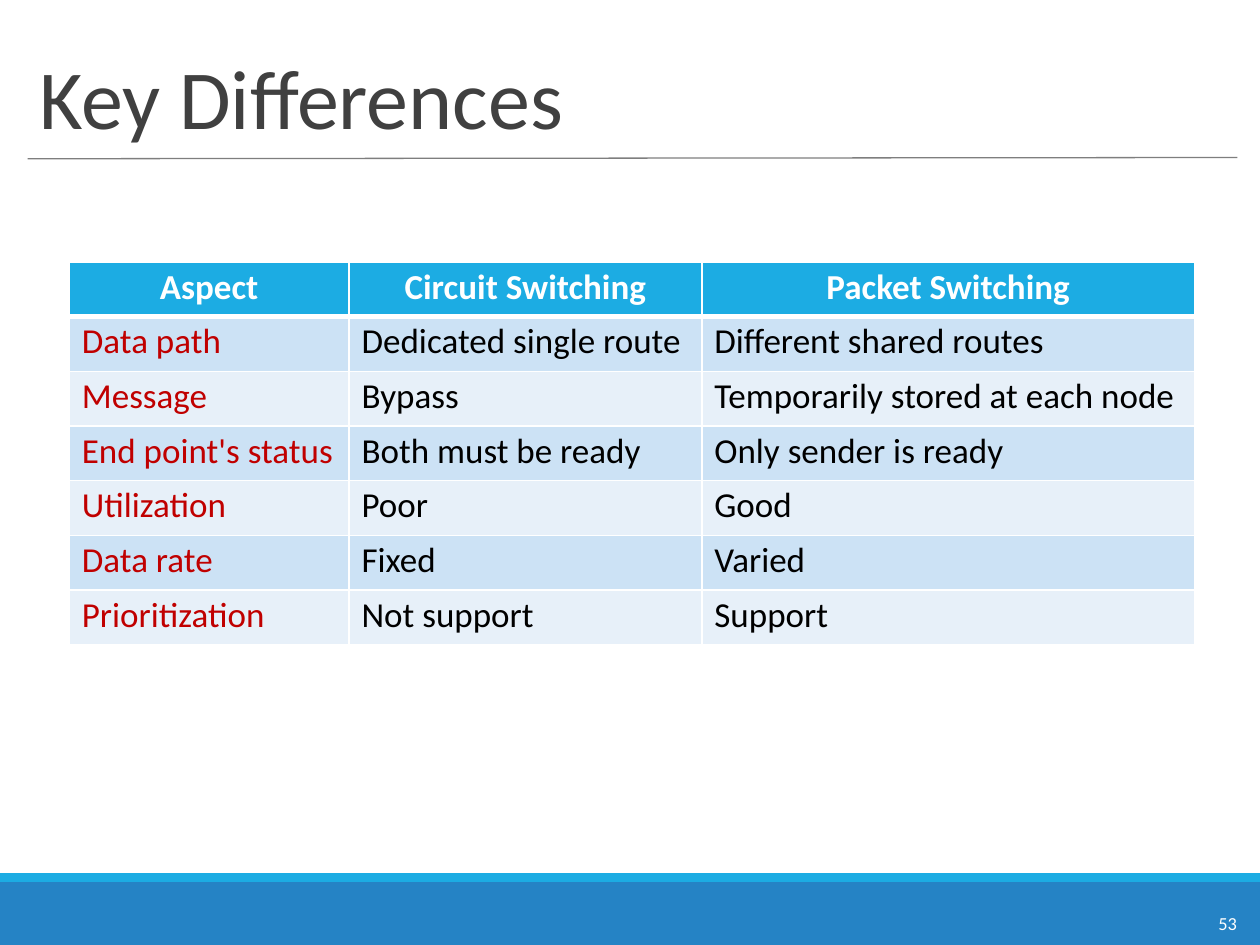
from lxml import etree
from pptx import Presentation
from pptx.dml.color import RGBColor
from pptx.enum.shapes import MSO_CONNECTOR, MSO_SHAPE
from pptx.enum.text import PP_ALIGN
from pptx.oxml.ns import qn
from pptx.util import Inches, Pt

RECT, STRAIGHT = MSO_SHAPE.RECTANGLE, MSO_CONNECTOR.STRAIGHT
LEFT, CENTER = PP_ALIGN.LEFT, PP_ALIGN.CENTER

TITLE = "Key Differences"
PAGE = "53"
ROWS = [
    ("Aspect", "Circuit Switching", "Packet Switching"),
    ("Data path", "Dedicated single route", "Different shared routes"),
    ("Message", "Bypass", "Temporarily stored at each node"),
    ("End point's status", "Both must be ready", "Only sender is ready"),
    ("Utilization", "Poor", "Good"),
    ("Data rate", "Fixed", "Varied"),
    ("Prioritization", "Not support", "Support"),
]
COLORS = {
    "footer": "2583C5", "accent": "1CACE3", "rule": "7E7E7E",
    "title": "404040", "white": "FFFFFF", "aspect": "C00000",
    "body": "000000", "odd": "CCE2F5", "even": "E7F0F9",
}
FONT = "Calibri"
W, H = 10, 7.5
COL_W = [2.22, 2.8, 3.91]
ROW_H = 0.434
TABLE_X, TABLE_Y = 0.55, 2.08
BARS = [(7, 0.5, "footer"), (6.93, 0.07, "accent")]


def rgb(name):
    return RGBColor.from_string(COLORS[name])


def style(p, size, color, bold=False):
    p.font.name, p.font.size, p.font.bold = FONT, Pt(size), bold
    p.font.color.rgb = rgb(color)


def set_margins(frame, left, top):
    frame.margin_left, frame.margin_top = Inches(left), Inches(top)
    frame.margin_right = frame.margin_bottom = 0


def add_text(s, text, box, size, color, left, top):
    tf = s.shapes.add_textbox(*map(Inches, box)).text_frame
    tf.word_wrap = True
    set_margins(tf, left, top)
    p = tf.paragraphs[0]
    p.text = text
    style(p, size, color)
    return p


def set_border(cell, side, width):
    tcPr = cell._tc.get_or_add_tcPr()
    ln = etree.SubElement(tcPr, qn(f"a:ln{side}"), w=str(Pt(width)))
    fill = etree.SubElement(ln, qn("a:solidFill"))
    etree.SubElement(fill, qn("a:srgbClr"), val=COLORS["white"])


def fill_cell(cell, text, r, c):
    header = r == 0
    cell.text = text
    set_margins(cell, 0 if header else 0.1, 0.03)
    p = cell.text_frame.paragraphs[0]
    p.alignment = CENTER if header else LEFT
    style(p, 20, "white" if header else "body" if c else "aspect", header)
    for side in "LRTB":
        thick = (r, side) in ((0, "B"), (1, "T"))
        set_border(cell, side, 3 if thick else 1)
    cell.fill.solid()
    cell.fill.fore_color.rgb = rgb("accent" if header else "odd" if r % 2 else "even")


def add_comparison(s):
    box = TABLE_X, TABLE_Y, sum(COL_W), ROW_H * len(ROWS)
    table = s.shapes.add_table(len(ROWS), len(COL_W), *map(Inches, box)).table
    for column, width in zip(table.columns, COL_W):
        column.width = Inches(width)
    for r, row in enumerate(ROWS):
        table.rows[r].height = Inches(ROW_H)
        for c, text in enumerate(row):
            fill_cell(table.cell(r, c), text, r, c)


def main():
    prs = Presentation()
    prs.slide_width, prs.slide_height = Inches(W), Inches(H)
    s = prs.slides.add_slide(prs.slide_layouts[6])
    for y, height, color in BARS:
        sp = s.shapes.add_shape(RECT, 0, Inches(y), Inches(W), Inches(height))
        sp.shadow.inherit = False
        sp.fill.solid()
        sp.fill.fore_color.rgb = rgb(color)
        sp.line.fill.background()
    rule = s.shapes.add_connector(STRAIGHT, *map(Inches, (0.22, 1.26, 9.82, 1.25)))
    rule.line.color.rgb = rgb("rule")
    rule.line.width = Pt(0.75)
    etree.SubElement(rule._element.spPr, qn("a:effectLst"))
    add_text(s, TITLE, (0.3, 0.35, 5.61, 0.83), 48, "title", 0.01, 0.01)
    p = add_text(s, PAGE, (9.63, 7.22, 0.23, 0.17), 10.5, "white", 0.04, 0)
    p.line_spacing = 1.1
    add_comparison(s)
    prs.save("out.pptx")


if __name__ == "__main__":
    main()
